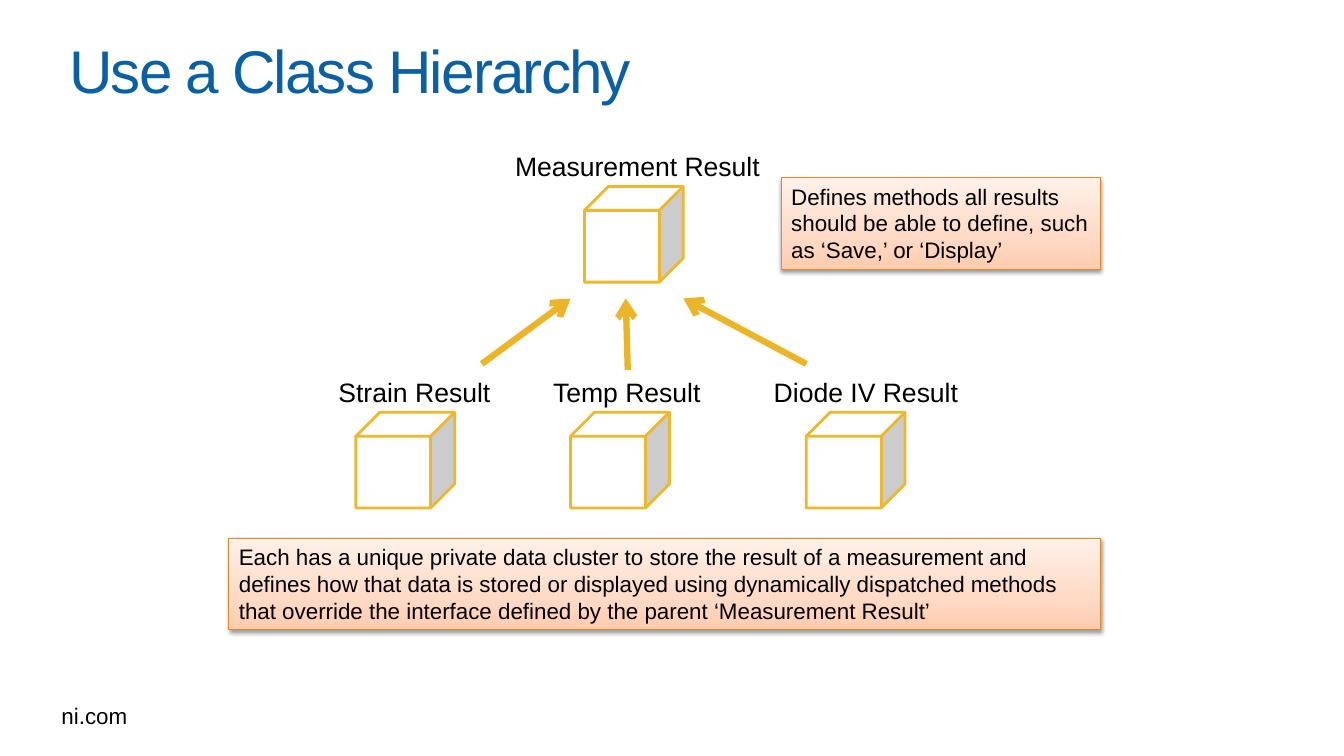
import pptx
import pptx.util
import pptx.dml.color
import pptx.enum.shapes
import pptx.enum.text
import pptx.oxml
import pptx.oxml.ns
from pptx.util import Cm, Pt

HUES = {"title": "0A60A3", "text": "000000", "face": "FFFFFF", "edge": "EDB72E",
        "arrow": "ECB528", "rim": "DD8928", "low": "FFCCAE", "mid": "FFDAC6", "high": "FFF1E9"}
FONT = "Arial"
TITLE = ("Use a Class Hierarchy", 1.75, 0.41, 30.4, 2.67)
FOOTER = ("ni.com", 1.3, 17.58, 2.18, 0.94)
CUBE = (2.49, 2.41)
RISE = 1.05
KIDS_TOP = 10.39
CLASSES = [
    ("Measurement Result", 14.73, 4.7, 12.73, 6.88),
    ("Strain Result", 8.97, KIDS_TOP, 8.28, 4.34),
    ("Temp Result", 14.38, KIDS_TOP, 13.69, 4.27),
    ("Diode IV Result", 20.32, KIDS_TOP, 19.25, 5.18),
]
TIP = 7.52
ARROWS = [(12.14, 9.17, 14.38), (20.32, 9.17, 17.22), (15.82, 9.32, 15.77)]
NOTES = [
    ("Defines methods all results should be able to define, such as ‘Save,’ or ‘Display’",
     19.69, 4.48, 8.05, 2.31),
    ("Each has a unique private data cluster to store the result of a measurement and defines "
     "how that data is stored or displayed using dynamically dispatched methods that override "
     "the interface defined by the parent ‘Measurement Result’", 5.77, 13.56, 21.97, 2.31),
]
STOPS = [(0, "low"), (35000, "mid"), (100000, "high")]
NS = pptx.oxml.ns.nsdecls("a")


def rgb(key):
    return pptx.dml.color.RGBColor.from_string(HUES[key])


def node(xml):
    return pptx.oxml.parse_xml(xml.replace(" NS", " " + NS, 1))


def write(frame, text, size, hue="text"):
    para = frame.paragraphs[0]
    para.text = text
    para.alignment = pptx.enum.text.PP_ALIGN.LEFT
    para.font.name = FONT
    para.font.size = Pt(size)
    para.font.color.rgb = rgb(hue)
    return para


def label(slide, text, size, *area, wrap=False, hue="text"):
    frame = slide.shapes.add_textbox(*map(Cm, area)).text_frame
    frame.word_wrap = wrap
    write(frame, text, size, hue)
    return frame


def shape(slide, kind, area, edge, width):
    item = slide.shapes.add_shape(kind, *map(Cm, area))
    item.shadow.inherit = False
    item.line.color.rgb = rgb(edge)
    item.line.width = Pt(width)
    return item


def cube(slide, left, top):
    item = shape(slide, pptx.enum.shapes.MSO_SHAPE.CUBE, (left, top, *CUBE), "edge", 2)
    item.fill.solid()
    item.fill.fore_color.rgb = rgb("face")


def arrow(slide, left, top, tip):
    kind = pptx.enum.shapes.MSO_CONNECTOR.STRAIGHT
    item = slide.shapes.add_connector(kind, Cm(left), Cm(top), Cm(tip), Cm(TIP))
    item.line.color.rgb = rgb("arrow")
    item.line.width = Pt(4.5)
    item.line._get_or_add_ln().append(node('<a:tailEnd NS type="arrow"/>'))
    item._element.spPr.append(node("<a:effectLst NS/>"))


def note(slide, text, *area):
    item = shape(slide, pptx.enum.shapes.MSO_SHAPE.RECTANGLE, area, "rim", 0.75)
    item.fill.gradient()
    item.fill.gradient_angle = 90
    props = item._element.spPr
    stops = props.find(".//" + pptx.oxml.ns.qn("a:gsLst"))
    for old in list(stops):
        stops.remove(old)
    for pos, key in STOPS:
        stops.append(node(f'<a:gs NS pos="{pos}"><a:srgbClr val="{HUES[key]}"/></a:gs>'))
    props.find(pptx.oxml.ns.qn("a:effectLst")).append(node(
        f'<a:outerShdw NS blurRad="{Pt(3.1)}" dist="{Pt(1.6)}" dir="5400000" rotWithShape="0">'
        f'<a:srgbClr val="{HUES["text"]}"><a:alpha val="38000"/></a:srgbClr></a:outerShdw>'))
    frame = item.text_frame
    frame.word_wrap = True
    frame.vertical_anchor = pptx.enum.text.MSO_ANCHOR.TOP
    write(frame, text, 16)


def main():
    """Build the class hierarchy slide."""
    deck = pptx.Presentation()
    deck.slide_width, deck.slide_height = Cm(33.87), Cm(19.05)
    slide = deck.slides.add_slide(deck.slide_layouts[6])
    label(slide, FOOTER[0], 16, *FOOTER[1:])
    head = label(slide, TITLE[0], 43, *TITLE[1:], wrap=True, hue="title")
    head.margin_left = 0
    head.vertical_anchor = pptx.enum.text.MSO_ANCHOR.MIDDLE
    head.paragraphs[0].runs[0].font._element.set("spc", "-130")
    for name, left, top, start, width in CLASSES:
        cube(slide, left, top)
        label(slide, name, 19, start, top - RISE, width, 1.07)
    for ends in ARROWS:
        arrow(slide, *ends)
    for item in NOTES:
        note(slide, *item)
    deck.save("out.pptx")


if __name__ == "__main__":
    main()
